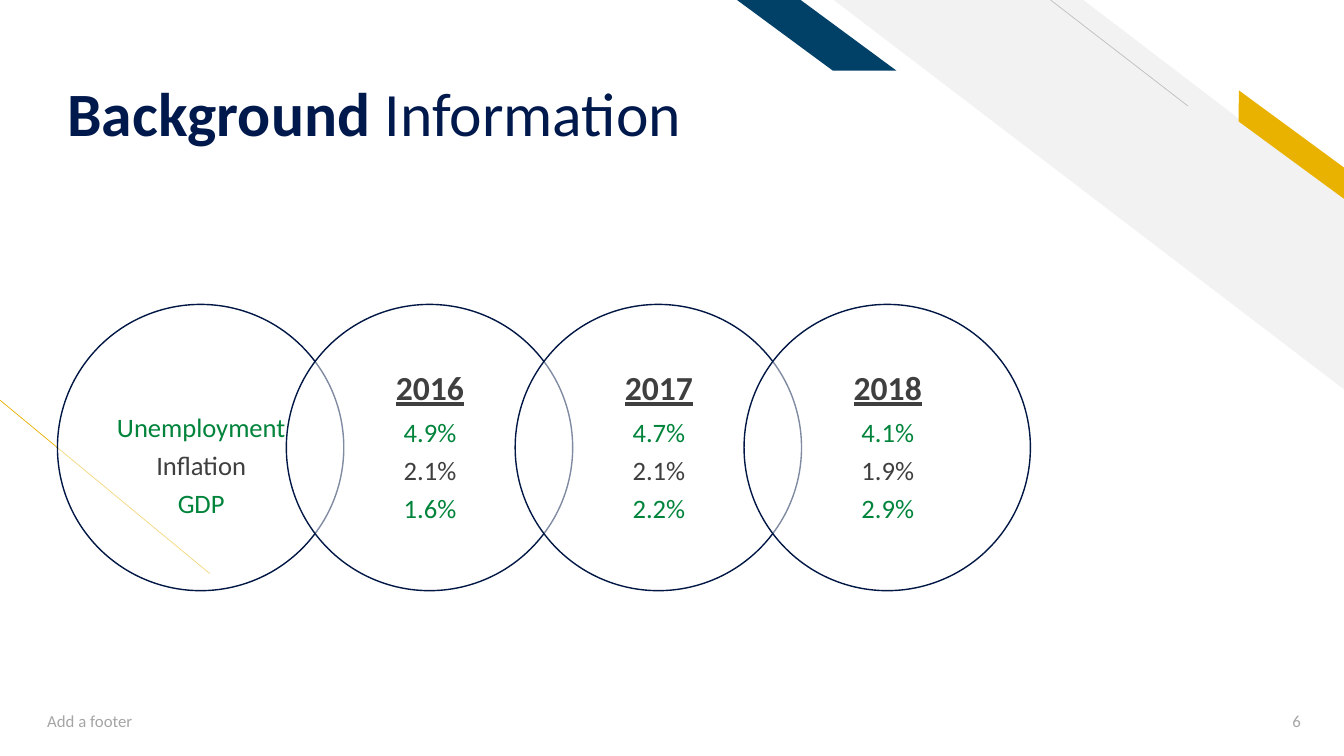
from lxml.etree import SubElement as Sub
from pptx import Presentation
from pptx.dml.color import RGBColor as Rgb
from pptx.enum.shapes import MSO_CONNECTOR as Conn, MSO_SHAPE as Kind
from pptx.enum.text import MSO_ANCHOR as Anchor, PP_ALIGN as Align
from pptx.oxml.ns import qn
from pptx.util import Inches, Pt

HUES = {
    "white": "FFFFFF", "pale": "F2F2F2", "silver": "BFBFBF", "gray": "A5A5A5",
    "dark": "3F3F3F", "gold": "EAB200", "teal": "014067", "navy": "00194C",
    "ring": "001745", "green": "00843B",
}
ROWS = ("green", "dark", "green")
CIRCLES = [
    (None, ("Unemployment", "Inflation", "GDP")),
    ("2016", ("4.9%", "2.1%", "1.6%")),
    ("2017", ("4.7%", "2.1%", "2.2%")),
    ("2018", ("4.1%", "1.9%", "2.9%")),
]
LEFT, TOP, SIZE, STEP = 0.57, 3.02, 2.84, 2.27
PAD, INNER = 0.42, 2.01
BLANK = 0.38


def hue(name):
    """Return the named colour."""
    return Rgb.from_string(HUES[name])


def apply(item, values):
    """Set each attribute of an item from a dict."""
    for key, value in values.items():
        setattr(item, key, value)


def add_line(slide, start, end, color):
    """Draw a thin straight line."""
    ends = [Inches(n) for n in (*start, *end)]
    line = slide.shapes.add_connector(Conn.STRAIGHT, *ends)
    line.line.color.rgb = hue(color)
    line.line.width = Pt(0.5)
    Sub(line._element.spPr, qn("a:effectLst"))


def add_form(slide, kind, box, color):
    """Draw a filled preset shape without outline or shadow."""
    form = slide.shapes.add_shape(kind, *[Inches(n) for n in box])
    form.shadow.inherit = False
    form.fill.solid()
    form.fill.fore_color.rgb = hue(color)
    form.line.fill.background()
    return form


def add_band(slide, kind, box, color, bend, turn=0):
    """Draw a mirrored diagonal band."""
    band = add_form(slide, kind, box, color)
    band.adjustments[0] = bend
    band.rotation = turn
    band._element.spPr.xfrm.set("flipH", "1")


def add_ring(slide, left):
    """Draw a half transparent circle with a dark outline."""
    ring = add_form(slide, Kind.OVAL, (left, TOP, SIZE, SIZE), "white")
    tint = ring._element.spPr.find(qn("a:solidFill"))[0]
    Sub(tint, qn("a:alpha"), val="50000")
    ring.line.color.rgb = hue("ring")
    ring.line.width = Pt(1)


def add_text(slide, box, lines, frame=None, para=None, gap=0):
    """Write lines, each a list of (text, size, colour, font values)."""
    area = slide.shapes.add_textbox(*[Inches(n) for n in box]).text_frame
    apply(area, {"word_wrap": True, "vertical_anchor": Anchor.MIDDLE,
                 **(frame or {})})
    for spot, runs in enumerate(lines):
        part = area.add_paragraph() if spot else area.paragraphs[0]
        apply(part, {"space_after": Pt(gap * runs[0][1]), **(para or {})})
        for text, size, color, style in runs:
            run = part.add_run()
            run.text = text
            apply(run.font, {"name": "Calibri", "size": Pt(size), **style})
            run.font.color.rgb = hue(color)


def add_year(slide, left, year, values):
    """Draw a circle with its heading and three rows."""
    add_ring(slide, left)
    lines = [[(text, 19, color, {})] for text, color in zip(values, ROWS)]
    if year:
        lines.insert(0, [(year, 24, "dark", {"bold": True, "underline": True})])
    top = 0.03 if year else 0.03 + BLANK
    frame = {"margin_left": Inches(0.16), "margin_right": Inches(0.16),
             "margin_top": Inches(top), "margin_bottom": Inches(0.03)}
    para = {"alignment": Align.CENTER, "line_spacing": 0.9}
    box = (left + PAD, TOP + PAD, INNER, INNER)
    add_text(slide, box, lines, frame, para, 0.35)


def main():
    """Build and save the slide."""
    deck = Presentation()
    apply(deck, {"slide_width": Inches(13.33), "slide_height": Inches(7.5)})
    slide = deck.slides.add_slide(deck.slide_layouts[6])

    add_line(slide, (2.08, 5.69), (0, 3.97), "gold")
    add_band(slide, Kind.DIAGONAL_STRIPE, (8.27, 0, 5.07, 3.87), "pale", 0.512)
    add_line(slide, (11.78, 1.05), (10.42, 0), "silver")
    slant = Kind.PARALLELOGRAM
    add_band(slide, slant, (12.07, 1.31, 1.48, 0.25), "gold", 0.72, 36.3)
    add_band(slide, slant, (7.31, 0, 1.58, 0.7), "teal", 1.356)

    add_text(slide, (0.37, 6.95, 4.5, 0.4), [[("Add a footer", 12, "gray", {})]])
    add_text(slide, (12.19, 6.95, 0.81, 0.4), [[("6", 12, "gray", {})]],
             para={"alignment": Align.RIGHT})
    title = [("Background ", 44, "navy", {"bold": True}),
             ("Information", 44, "navy", {})]
    add_text(slide, (0.57, 0.23, 9.11, 1.26), [title],
             {"vertical_anchor": Anchor.BOTTOM, "margin_bottom": 0},
             {"line_spacing": 0.9})

    for spot, (year, values) in enumerate(CIRCLES):
        add_year(slide, LEFT + spot * STEP, year, values)
    deck.save("out.pptx")


if __name__ == "__main__":
    main()
